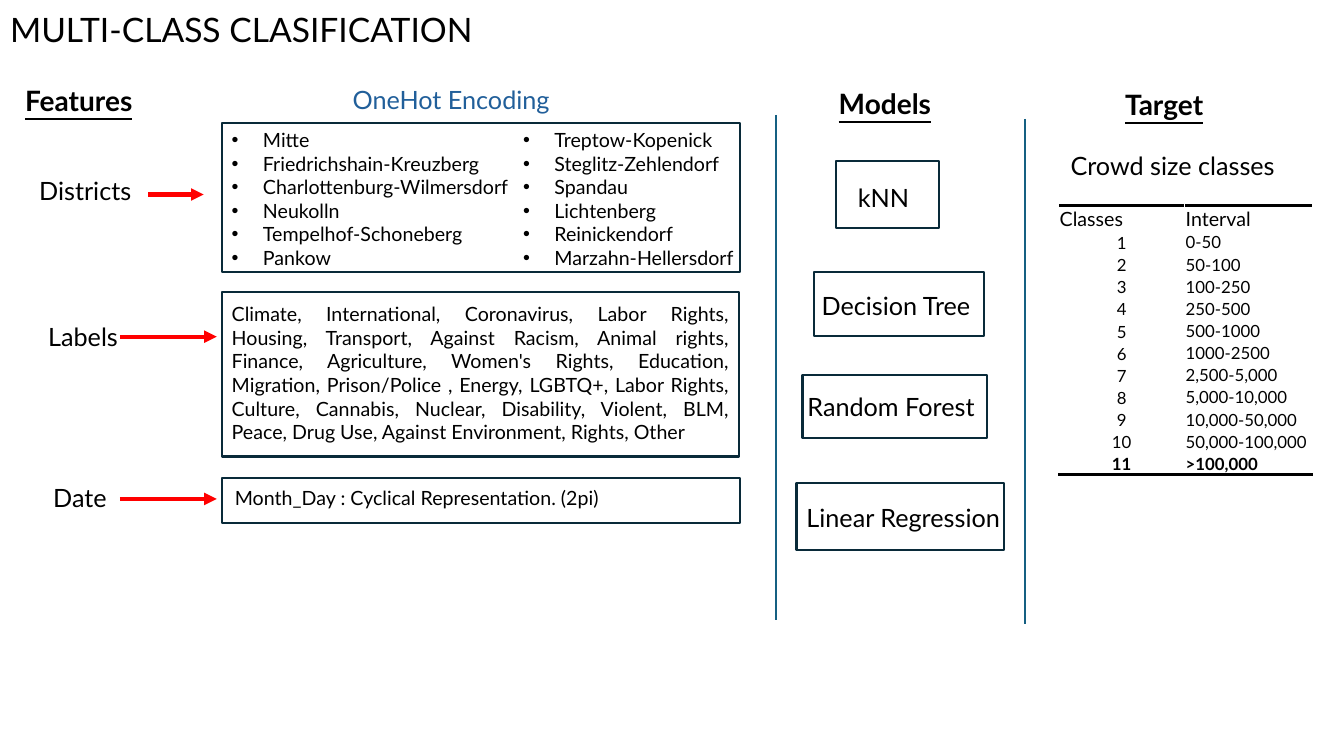
from lxml.etree import SubElement
from pptx import Presentation
from pptx.dml.color import RGBColor
from pptx.enum.shapes import MSO_CONNECTOR, MSO_SHAPE
from pptx.enum.text import MSO_ANCHOR, PP_ALIGN
from pptx.oxml import parse_xml
from pptx.oxml.ns import nsdecls, qn
from pptx.util import Inches, Pt

COLORS = {"text": "000000", "encoding": "215F9A", "box": "092A39",
          "arrow": "FF0000", "divider": "156082", "cell": "FFFFFF"}
FONT = "Lato"

# Content: places are left, top, width, height in inches
TITLE = "MULTI-CLASS CLASIFICATION"
HEADINGS = [("Features", 0.15, 0.78), ("Models", 8.22, 0.81), ("Target", 11.06, 0.82)]
CAPTIONS = [
    ("Districts", (0.29, 1.69, 3.01, 0.4), "text"),
    ("Labels", (0.28 + 0.1, 2.84 + 0.3, 0.96, 0.4), "text"),
    ("Date", (0.43, 4.74, 0.96, 0.4), "text"),
    ("OneHot Encoding", (3.4, 0.79, 3.3, 0.4), "encoding"),
    ("Crowd size classes", (10.52, 1.44, 2.8, 0.4), "text"),
]
DISTRICTS = [
    (2.2, ["Mitte", "Friedrichshain-Kreuzberg", "Charlottenburg-Wilmersdorf",
           "Neukolln", "Tempelhof-Schoneberg", "Pankow"]),
    (5.09, ["Treptow-Kopenick", "Steglitz-Zehlendorf", "Spandau",
            "Lichtenberg", "Reinickendorf", "Marzahn-Hellersdorf"]),
]
LABELS = ("Climate, International, Coronavirus, Labor Rights, Housing, Transport, "
          "Against Racism, Animal rights, Finance, Agriculture, Women's Rights, "
          "Education, Migration, Prison/Police , Energy, LGBTQ+, Labor Rights, "
          "Culture, Cannabis, Nuclear, Disability, Violent, BLM, Peace, Drug Use, "
          "Against Environment, Rights, Other")
DATE = "Month_Day : Cyclical Representation. (2pi)"
FEATURE_BOXES = [(2.2, 1.22, 5.14, 1.48), (2.2, 2.9, 5.13, 1.63), (2.2, 4.74, 5.14, 0.45)]
MODELS = [  # name, text place, box
    ("kNN", (8.41, 1.76, 0.81, 0.4), (8.29, 1.6, 1.02, 0.66)),
    ("Decision Tree", (8.05, 2.83, 3.11, 0.4), (8.07, 2.7, 1.69, 0.63)),
    ("Random Forest", (7.91, 3.83, 3.25, 0.4), (7.96, 3.72, 1.83, 0.63)),
    ("Linear Regression", (7.9, 4.93, 3.11, 0.4), (7.9, 4.79, 2.06, 0.67)),
]
ARROWS = [(1.47, 2.02, 1.93), (1.19, 2.15, 3.34), (1.19, 2.15, 4.95)]  # x1, x2, y
DIVIDERS = [(7.7, 1.14), (10.17, 1.18)]  # x, top
DIVIDER_HEIGHT = 5.01
INTERVALS = ["0-50", "50-100", "100-250", "250-500", "500-1000", "1000-2500",
             "2,500-5,000", "5,000-10,000", "10,000-50,000", "50,000-100,000", ">100,000"]


def rgb(name):
    return RGBColor.from_string(COLORS[name])


def write(tf, lines, size=18, color="text", bold=False, underline=False,
          align=PP_ALIGN.LEFT, bullet=False, spacing=None):
    tf.word_wrap = True
    for i, line in enumerate([lines] if isinstance(lines, str) else lines):
        p = tf.paragraphs[0] if i == 0 else tf.add_paragraph()
        p.alignment = align
        if spacing:
            p.line_spacing = spacing
        if bullet:
            pPr = p._p.get_or_add_pPr()
            pPr.set("marL", str(Inches(0.31)))
            pPr.set("indent", str(-Inches(0.31)))
            SubElement(pPr, qn("a:buFont")).set("typeface", "Arial")
            SubElement(pPr, qn("a:buChar")).set("char", "•")
        r = p.add_run()
        r.text = line
        r.font.name, r.font.size = FONT, Pt(size)
        r.font.bold, r.font.underline = bold, underline
        r.font.color.rgb = rgb(color)


def add_text(place, lines, **fmt):
    write(s.shapes.add_textbox(*map(Inches, place)).text_frame, lines, **fmt)


def add_box(place):
    sp = s.shapes.add_shape(MSO_SHAPE.RECTANGLE, *map(Inches, place))
    sp.shadow.inherit = False
    sp.fill.background()
    sp.line.color.rgb, sp.line.width = rgb("box"), Pt(1.5)


def add_line(ends, color, width, arrow=False):
    cx = s.shapes.add_connector(MSO_CONNECTOR.STRAIGHT, *map(Inches, ends))
    cx.line.color.rgb, cx.line.width = rgb(color), Pt(width)
    if arrow:
        SubElement(cx.line._get_or_add_ln(), qn("a:tailEnd")).set("type", "triangle")
    SubElement(cx._element.spPr, qn("a:effectLst"))


def add_border(cell, side):
    cell._tc.get_or_add_tcPr().insert(0, parse_xml(
        f'<a:{side} {nsdecls("a")} w="{Pt(2)}"><a:solidFill>'
        f'<a:srgbClr val="{COLORS["text"]}"/></a:solidFill></a:{side}>'))


prs = Presentation()
prs.slide_width, prs.slide_height = Inches(13.33), Inches(7.5)
s = prs.slides.add_slide(prs.slide_layouts[5])

# Title and headings
title = s.shapes.title
title.left, title.top, title.width, title.height = map(Inches, (0, -0.27, 11.5, 1.16))
title.text_frame.vertical_anchor = MSO_ANCHOR.MIDDLE
write(title.text_frame, TITLE, size=24, spacing=0.9)
for name, x, y in HEADINGS:
    add_text((x, y, 1.32, 0.44), name, size=20, bold=True, underline=True)
for name, place, color in CAPTIONS:
    add_text(place, name, color=color)

# Features
for place in FEATURE_BOXES:
    add_box(place)
for x, names in DISTRICTS:
    add_text((x, 1.22, 4.14, 1.51), names, size=14, bullet=True)
add_text((2.2, 2.95, 5.13, 1.51), LABELS, size=14, align=PP_ALIGN.JUSTIFY)
add_text((2.23, 4.77, 4.71, 0.34), DATE, size=14)
for x1, x2, y in ARROWS:
    add_line((x1, y, x2, y), "arrow", 3, arrow=True)

# Models between the two dividers
for x, top in DIVIDERS:
    add_line((x, top, x, top + DIVIDER_HEIGHT), "divider", 1.5)
for name, place, box in MODELS:
    add_box(box)
    add_text(place, name)

# Target classes
rows = [("Classes", "Interval")] + [(str(i), t) for i, t in enumerate(INTERVALS, 1)]
last = len(rows) - 1
table = s.shapes.add_table(len(rows), 2, *map(Inches, (10.5, 2.04, 2.52, 2.67))).table
table.first_row = table.horz_banding = False
for col, width in zip(table.columns, (1.25, 1.27)):
    col.width = Inches(width)
for i, row in enumerate(rows):
    table.rows[i].height = Inches(0.22 if i else 0.25)
    for j, text in enumerate(row):
        cell = table.cell(i, j)
        cell.margin_left = cell.margin_right = cell.margin_top = Inches(0.01)
        cell.margin_bottom = 0
        cell.vertical_anchor = MSO_ANCHOR.MIDDLE if i and j else MSO_ANCHOR.BOTTOM
        cell.fill.solid()
        cell.fill.fore_color.rgb = rgb("cell")
        write(cell.text_frame, text, size=12 if i else 14, bold=i == last,
              align=PP_ALIGN.CENTER if i and not j else PP_ALIGN.LEFT)
        if i in (0, last):
            add_border(cell, "lnB" if i else "lnT")

prs.save("out.pptx")
